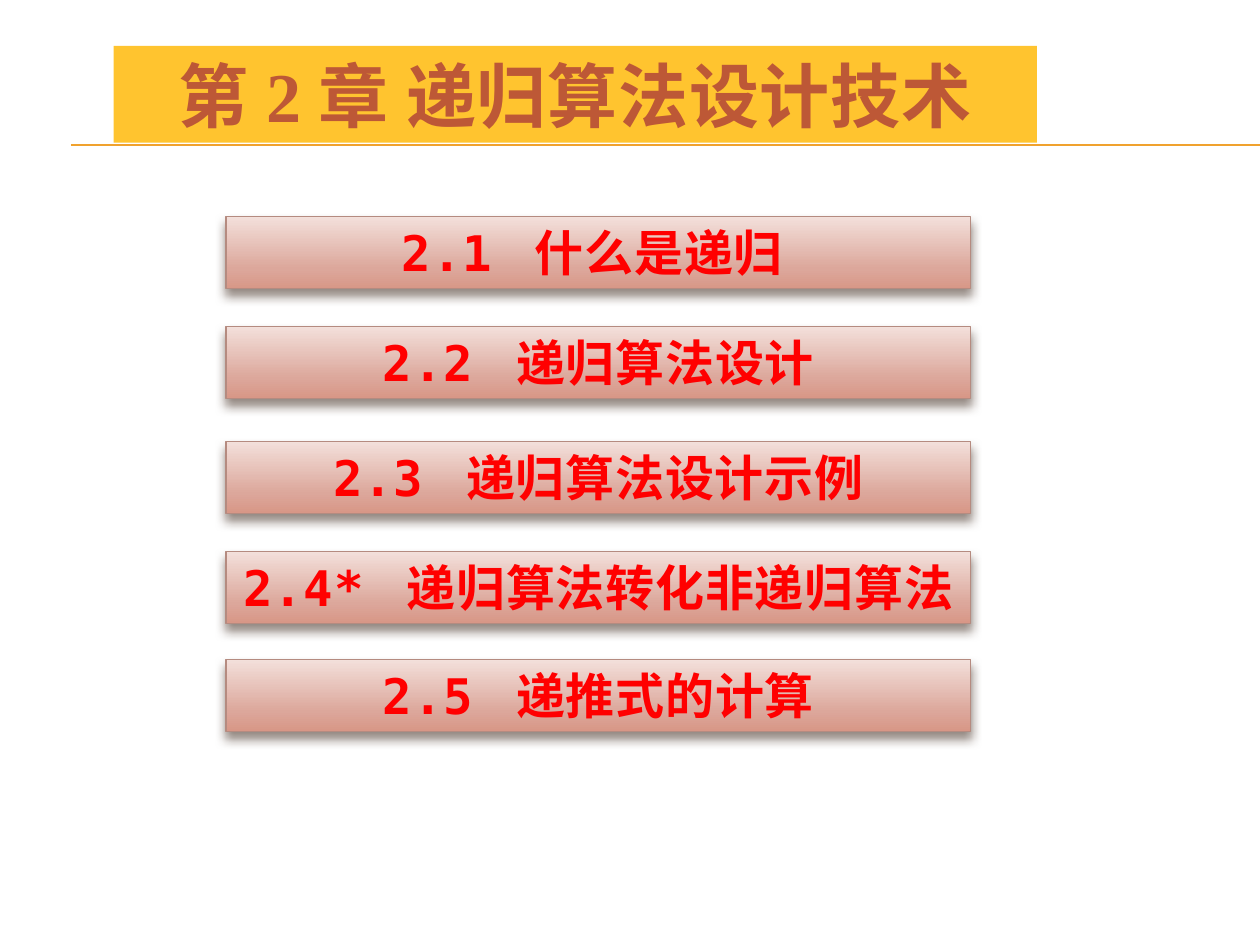
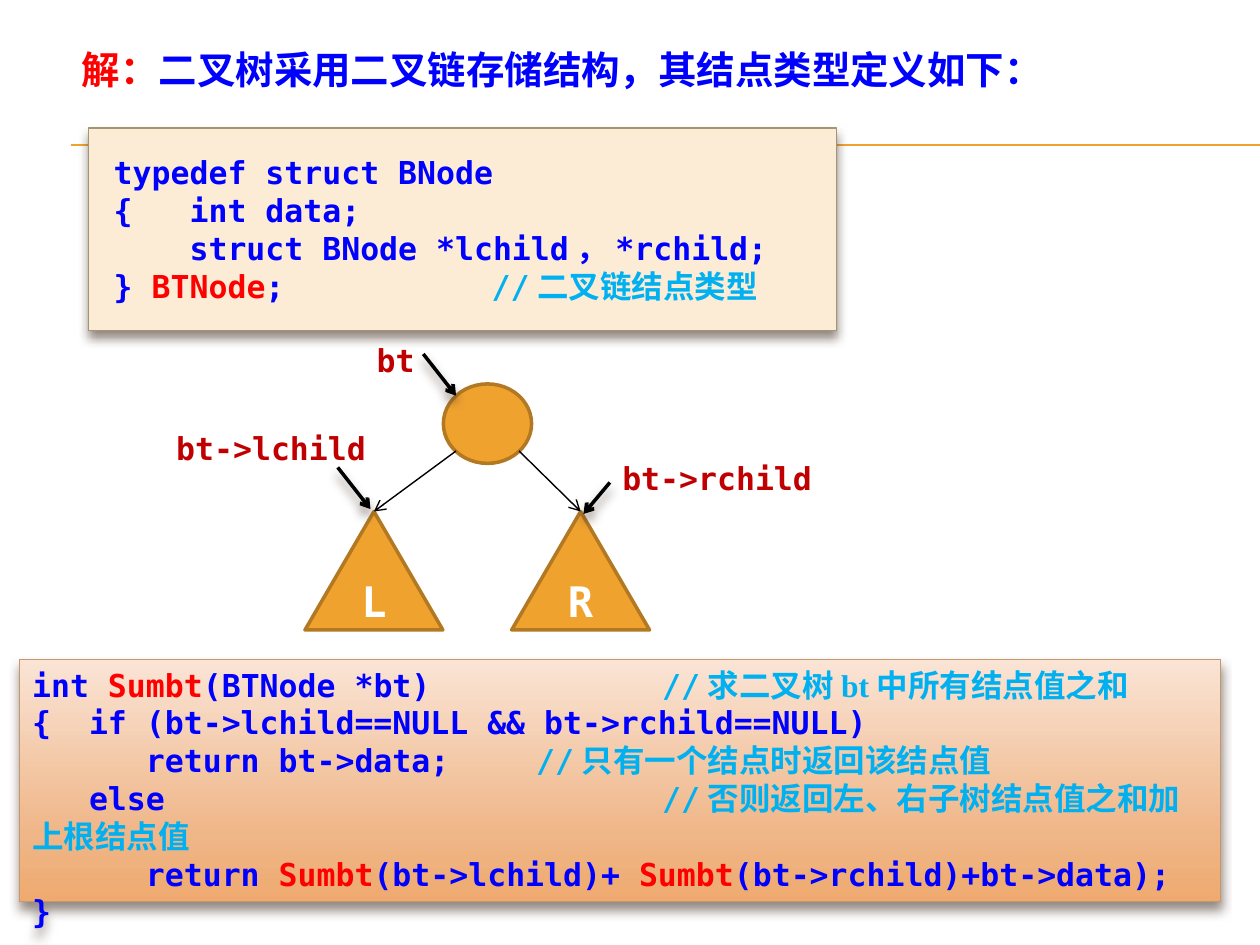
from lxml import etree
from pptx import Presentation
from pptx.dml.color import RGBColor
from pptx.enum.shapes import MSO_CONNECTOR, MSO_SHAPE
from pptx.enum.text import MSO_ANCHOR, MSO_AUTO_SIZE, PP_ALIGN
from pptx.oxml.ns import qn
from pptx.util import Pt

RECTANGLE, OVAL = MSO_SHAPE.RECTANGLE, MSO_SHAPE.OVAL
TRIANGLE = MSO_SHAPE.ISOSCELES_TRIANGLE
STRAIGHT = MSO_CONNECTOR.STRAIGHT
LEFT, CENTER = PP_ALIGN.LEFT, PP_ALIGN.CENTER
TOP, MIDDLE = MSO_ANCHOR.TOP, MSO_ANCHOR.MIDDLE
NO_FIT = MSO_AUTO_SIZE.NONE

MONO, SERIF = "DejaVu Sans Mono", "Times New Roman"
TITLE_ONLY = 5
TAB_WIDTH = Pt(72)

WHITE = RGBColor(0xFF, 0xFF, 0xFF)
BLACK = RGBColor(0x00, 0x00, 0x00)
RED = RGBColor(0xFF, 0x00, 0x00)
BLUE = RGBColor(0x00, 0x00, 0xFF)
SKY = RGBColor(0x00, 0xB0, 0xF0)
DARK_RED = RGBColor(0xC0, 0x00, 0x00)
ORANGE = RGBColor(0xF0, 0xA2, 0x2E)
DARK_ORANGE = RGBColor(0xB2, 0x78, 0x22)
GOLD = RGBColor(0xFF, 0xC4, 0x2F)
RUST = RGBColor(0xBD, 0x58, 0x36)
CREAM = RGBColor(0xFC, 0xEC, 0xD5)
CREAM_EDGE = RGBColor(0xA1, 0x95, 0x74)
ROSE_EDGE = RGBColor(0xB5, 0x8B, 0x80)
PEACH_EDGE = RGBColor(0xC3, 0x98, 0x6D)
SHADOW = RGBColor(0x4E, 0x3B, 0x30)
# Gradients run from top to bottom: (percent, colour)
ROSE = [(0, RGBColor(0xF3, 0xE0, 0xDB)), (72, RGBColor(0xDC, 0xA7, 0x9B)),
        (100, RGBColor(0xD8, 0x97, 0x87))]
PEACH = [(0, RGBColor(0xFA, 0xE4, 0xD5)), (72, RGBColor(0xEF, 0xB6, 0x88)),
         (100, RGBColor(0xEF, 0xAA, 0x6F))]

# Sections with the distance of each bar below the first
SECTIONS = [("2.1 什么是递归 ", 0), ("2.2 递归算法设计", 62.7),
            ("2.3 递归算法设计示例", 128.4),
            ("2.4* 递归算法转化非递归算法", 191.3), ("2.5 递推式的计算", 253)]

# Each line is a list of spans: (text, colour[, font])
NODE_TYPE = [
    [("typedef struct BNode", BLUE)],
    [("{   int data;", BLUE)],
    [("    struct BNode *lchild，*rchild;", BLUE)],
    [("} ", BLUE), ("BTNode", RED), (";\t\t", BLUE), ("//二叉链结点类型", SKY)],
]
SUM_FUNCTION = [
    [("int ", BLUE), ("Sumbt", RED), ("(BTNode *bt)\t\t", BLUE),
     ("//求二叉树", SKY), ("bt", SKY, SERIF), ("中所有结点值之和", SKY)],
    [("{  if (bt->lchild==NULL && bt->rchild==NULL)", BLUE)],
    [("      return bt->data;\t", BLUE), ("//只有一个结点时返回该结点值", SKY)],
    [("   else\t\t\t\t", BLUE), ("//否则返回左、右子树结点值之和加上根结点值", SKY)],
    [("      return ", BLUE), ("Sumbt", RED), ("(bt->lchild)+ ", BLUE),
     ("Sumbt", RED), ("(bt->rchild)+bt->data);", BLUE)],
    [("}", BLUE)],
]


def points(*values):
    """Turn numbers into lengths in points."""
    return [Pt(value) for value in values]


def set_effects(shape, shadowed):
    """Replace the theme's shadow by the deck's soft one, or by none."""
    effects = etree.SubElement(shape._element.spPr, qn("a:effectLst"))
    if shadowed:
        outer = etree.SubElement(
            effects, qn("a:outerShdw"), blurRad=str(Pt(6)), dist=str(Pt(4)),
            dir="5400000", algn="ctr", rotWithShape="0")
        colour = etree.SubElement(outer, qn("a:srgbClr"), val=str(SHADOW))
        etree.SubElement(colour, qn("a:alpha"), val="60000")


def set_fill(shape, fill):
    """Fill with one colour, or downwards with a list of gradient stops."""
    if isinstance(fill, RGBColor):
        shape.fill.solid()
        shape.fill.fore_color.rgb = fill
        return
    shape.fill.gradient()
    shape.fill.gradient_angle = 270
    stops = shape._element.spPr.find(".//" + qn("a:gsLst"))
    for stop in list(stops):
        stops.remove(stop)
    for percent, colour in fill:
        stop = etree.SubElement(stops, qn("a:gs"), pos=str(percent * 1000))
        etree.SubElement(stop, qn("a:srgbClr"), val=str(colour))


def write(shape, lines, size, align=LEFT, anchor=TOP, font=MONO, spacing=0):
    """Write lines of coloured spans in bold; spacing is in points."""
    frame = shape.text_frame
    frame.word_wrap = True
    frame.auto_size = NO_FIT
    frame.vertical_anchor = anchor
    for index, line in enumerate(lines):
        para = frame.add_paragraph() if index else frame.paragraphs[0]
        para.alignment = align
        para._p.get_or_add_pPr().set("defTabSz", str(TAB_WIDTH))
        para.font.name, para.font.size, para.font.bold = font, Pt(size), True
        if spacing:
            para.font._rPr.set("spc", str(int(spacing * 100)))
        for text, colour, *other_font in line:
            span = para.add_run()
            span.text = text
            span.font.color.rgb = colour
            if other_font:
                span.font.name = other_font[0]


def add_block(page, kind, box, fill, edge, width=0.79, shadowed=False):
    """Add a filled and outlined preset shape."""
    shape = page.shapes.add_shape(kind, *points(*box))
    set_fill(shape, fill)
    shape.line.color.rgb = edge
    shape.line.width = Pt(width)
    set_effects(shape, shadowed)
    return shape


def add_line(page, ends, colour, width, arrow=False, shadowed=False):
    """Add a straight line, with an open arrowhead if asked for."""
    line = page.shapes.add_connector(STRAIGHT, *points(*ends))
    line.line.color.rgb = colour
    line.line.width = Pt(width)
    if arrow:
        etree.SubElement(line.line._get_or_add_ln(), qn("a:tailEnd"), type="arrow")
    set_effects(line, shadowed)
    return line


def add_title(page, box, spans, size, **style):
    """Place and write the title placeholder."""
    title = page.shapes.title
    title.left, title.top, title.width, title.height = points(*box)
    write(title, [spans], size, **style)
    return title


def add_layout_rules(page):
    """Draw the rule under the title and move it to the shared layout."""
    tree = page.slide_layout.shapes._spTree
    for index, y in enumerate((82.9, 83.3)):
        rule = add_line(page, (40.5, y, 720, y), ORANGE, 0.75)
        rule._element.nvCxnSpPr.cNvPr.set("id", str(100 + index))
        tree.append(rule._element)


def add_section_bars(page, box):
    """Stack one bar per section, starting at the box of the first."""
    left, top, width, height = box
    for section, offset in SECTIONS:
        bar = add_block(page, RECTANGLE, (left, top + offset, width, height),
                        ROSE, ROSE_EDGE, shadowed=True)
        write(bar, [[(section, RED)]], 28, align=CENTER, spacing=0.5)


def add_code(page, box, lines, fill, edge, insets=None):
    """Add a shadowed panel of program code."""
    panel = add_block(page, RECTANGLE, box, fill, edge, shadowed=True)
    write(panel, lines, 18)
    if insets:
        frame = panel.text_frame
        (frame.margin_left, frame.margin_top,
         frame.margin_right, frame.margin_bottom) = points(*insets)


def add_tree(page, left, top):
    """Draw the root, its two subtrees and the labelled pointers."""
    def at(x, y):
        return left + x, top + y

    add_block(page, OVAL, (*at(159.8, 27.9), 50.4, 45.4), ORANGE, DARK_ORANGE, 2)
    width, height, apex_y = 78.8, 67.7, 100.8
    for name, x, start_x in (("L", 80.7, 167), ("R", 198.8, 203)):
        subtree = add_block(page, TRIANGLE, (*at(x, apex_y), width, height),
                            ORANGE, DARK_ORANGE, 2)
        write(subtree, [[(name, WHITE)]], 24, align=CENTER, anchor=MIDDLE)
        add_line(page, (*at(start_x, 66.2), *at(x + width / 2, apex_y)),
                 BLACK, 0.79, arrow=True)

    pointers = [
        ("bt", (114.5, 0), 39.6, (148.3, 10.8), (167, 34.6)),
        ("bt->lchild", (0, 50.4), 126, (99.4, 75.6), (118.1, 99.4)),
        ("bt->rchild", (254.9, 67), 123.8, (254.9, 84.2), (239.8, 102.2)),
    ]
    for text, corner, label_width, start, end in pointers:
        label = page.shapes.add_textbox(*points(*at(*corner), label_width, 28.8))
        write(label, [[(text, DARK_RED)]], 18)
        add_line(page, (*at(*start), *at(*end)), BLACK, 2, arrow=True, shadowed=True)


def build_contents(page):
    """Chapter title over the list of sections."""
    title = add_title(page, (65, 26.2, 527.5, 55.4), [("第2章 递归算法设计技术", RUST)],
                      40, align=CENTER, font=SERIF, spacing=0.5)
    set_fill(title, GOLD)
    add_section_bars(page, (129.2, 123.8, 425.5, 41.2))


def build_solution(page):
    """Node type, picture of the tree and the summing function."""
    add_title(page, (39.6, 22.5, 568, 33.8),
              [("解：", RED), ("二叉树采用二叉链存储结构，其结点类型定义如下：", BLUE)], 22)
    add_code(page, (50.6, 73.2, 427.5, 115.7), NODE_TYPE, CREAM, CREAM_EDGE,
             insets=(14.4, 14.4, 7.2, 14.4))
    add_tree(page, 93.6, 191.5)
    add_code(page, (11.3, 376.8, 686.2, 138.5), SUM_FUNCTION, PEACH, PEACH_EDGE)


def main():
    """Build the deck and save it."""
    deck = Presentation()
    deck.slide_width, deck.slide_height = points(720, 540)
    layout = deck.slide_layouts[TITLE_ONLY]
    contents, solution = (deck.slides.add_slide(layout) for _ in range(2))
    add_layout_rules(contents)
    build_contents(contents)
    build_solution(solution)
    deck.save("out.pptx")


main()
